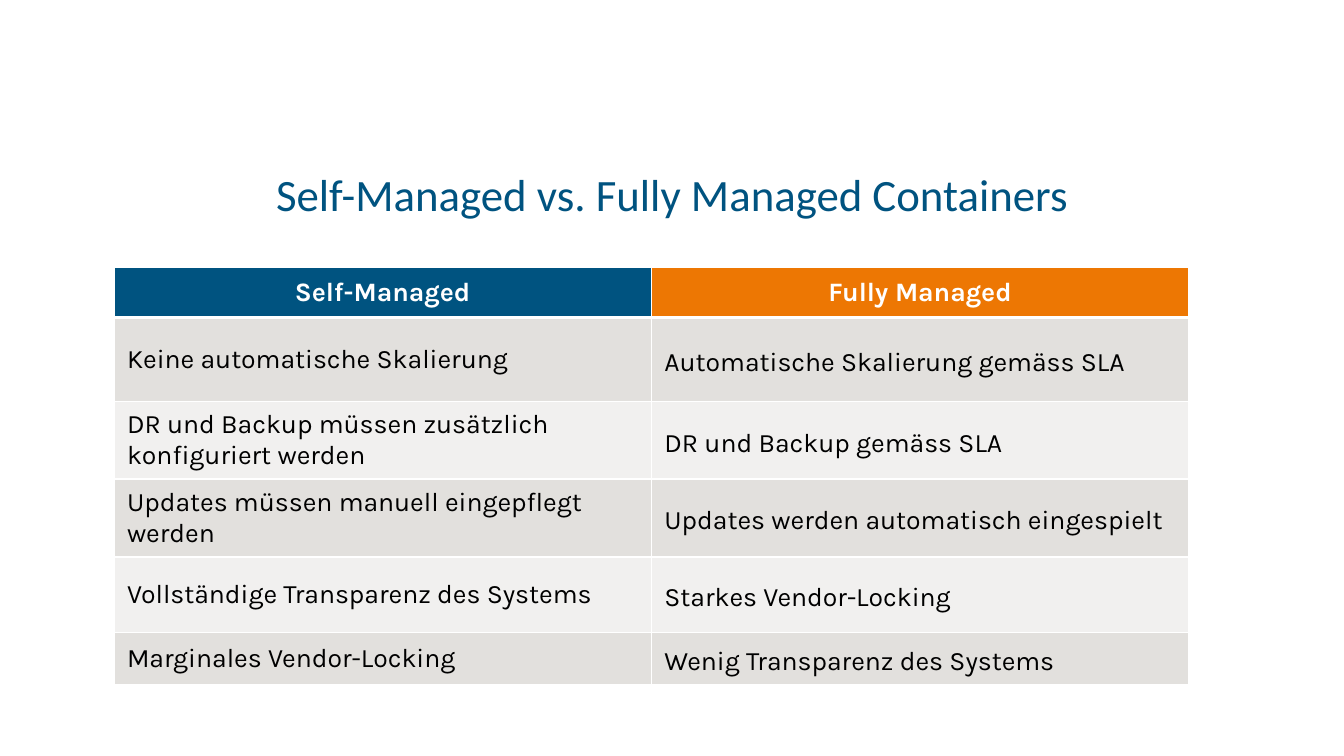
from lxml import etree
from pptx import Presentation, util as u
from pptx.dml.color import RGBColor
from pptx.enum import text
from pptx.oxml import ns

BLUE = RGBColor(0x00, 0x53, 0x80)
ORANGE = RGBColor(0xED, 0x77, 0x03)
DARK_BAND = RGBColor(0xE2, 0xE0, 0xDD)
LIGHT_BAND = RGBColor(0xF1, 0xF0, 0xEF)
WHITE = RGBColor(0xFF, 0xFF, 0xFF)
BLACK = RGBColor(0x00, 0x00, 0x00)

ROWS = [
    ("Self-Managed", "Fully Managed"),
    ("Keine automatische Skalierung", "Automatische Skalierung gemäss SLA"),
    ("DR und Backup müssen zusätzlich konfiguriert werden", "DR und Backup gemäss SLA"),
    ("Updates müssen manuell eingepflegt werden", "Updates werden automatisch eingespielt"),
    ("Vollständige Transparenz des Systems", "Starkes Vendor-Locking"),
    ("Marginales Vendor-Locking", "Wenig Transparenz des Systems"),
]
ROW_HEIGHTS = [0.5, 0.83, 0.75, 0.75, 0.75, 0.48]
COLUMN_WIDTH = u.Inches(5.33)
CELL_FORMAT = {
    "margin_left": u.Inches(0.13), "margin_right": u.Inches(0.13),
    "margin_top": u.Inches(0.07), "margin_bottom": u.Inches(0.07),
    "vertical_anchor": text.MSO_ANCHOR.MIDDLE,
}
TITLE_FORMAT = {
    "margin_left": 0, "margin_right": 0, "margin_top": 0, "margin_bottom": 0,
    "vertical_anchor": text.MSO_ANCHOR.MIDDLE, "word_wrap": True,
}


def write(paragraph, words, name, size, color, bold=False):
    run = paragraph.add_run()
    run.text = words
    for key, value in {"name": name, "size": u.Pt(size), "bold": bold}.items():
        setattr(run.font, key, value)
    run.font.color.rgb = color


def add_border(cell, side, width):
    properties = cell._tc.get_or_add_tcPr()
    line = etree.SubElement(properties, ns.qn(f"a:{side}"), w=str(u.Pt(width)))
    fill = etree.SubElement(line, ns.qn("a:solidFill"))
    etree.SubElement(fill, ns.qn("a:srgbClr"), val=str(WHITE))


presentation = Presentation()
presentation.slide_width = u.Inches(13.33)
presentation.slide_height = u.Inches(7.5)
slide = presentation.slides.add_slide(presentation.slide_layouts[6])

# Title, centred across 90 % of the slide
title_width = int(presentation.slide_width * 0.9)
title = slide.shapes.add_textbox(u.Inches(0.67), u.Inches(1.63), title_width, u.Inches(0.58))
for key, value in TITLE_FORMAT.items():
    setattr(title.text_frame, key, value)
paragraph = title.text_frame.paragraphs[0]
paragraph.alignment = text.PP_ALIGN.CENTER
write(paragraph, "Self-Managed vs. Fully Managed Containers", "Calibri", 32, BLUE)

# Comparison table
table = slide.shapes.add_table(
    len(ROWS), 2, u.Inches(1.13), u.Inches(2.65),
    2 * COLUMN_WIDTH, u.Inches(sum(ROW_HEIGHTS))).table
for column in table.columns:
    column.width = COLUMN_WIDTH

for row_index, labels in enumerate(ROWS):
    table.rows[row_index].height = u.Inches(ROW_HEIGHTS[row_index])
    header = row_index == 0
    band = DARK_BAND if row_index % 2 else LIGHT_BAND
    for column_index, label in enumerate(labels):
        cell = table.cell(row_index, column_index)
        for key, value in CELL_FORMAT.items():
            setattr(cell, key, value)

        # White rules, thicker below the header; borders precede the fill
        widths = {"lnL": 0.96, "lnR": 0.96,
                  "lnT": 3 if row_index == 1 else 0.96, "lnB": 3 if header else 0.96}
        for side, width in widths.items():
            add_border(cell, side, width)
        cell.fill.solid()
        cell.fill.fore_color.rgb = (BLUE, ORANGE)[column_index] if header else band

        # Label
        paragraph = cell.text_frame.paragraphs[0]
        if header:
            paragraph.alignment = text.PP_ALIGN.CENTER
        elif column_index == 1:
            paragraph.line_spacing = 1.2
        write(paragraph, label, "Karla", 19, WHITE if header else BLACK, header)

presentation.save("out.pptx")
